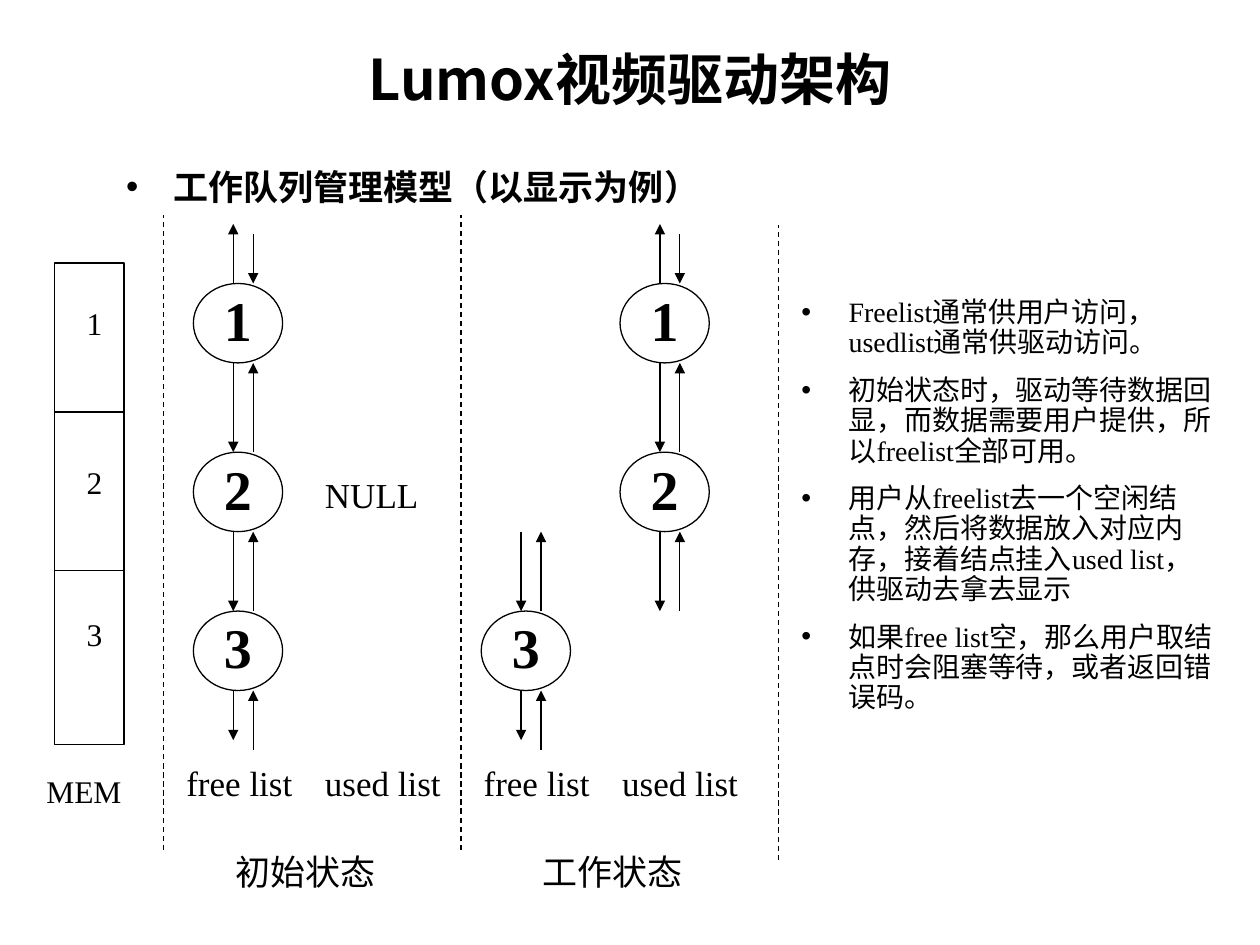
from lxml.etree import SubElement as sub
from pptx import Presentation
from pptx.dml.color import RGBColor
from pptx.enum.dml import MSO_LINE as Dash
from pptx.enum.shapes import MSO_CONNECTOR as Conn, MSO_SHAPE as Shape
from pptx.enum.text import MSO_ANCHOR as Anchor, MSO_AUTO_SIZE as Fit, PP_ALIGN as Align
from pptx.oxml.ns import qn
from pptx.util import Pt

BLACK = RGBColor(0, 0, 0)
SERIF = "Times New Roman"
SANS = "Noto Sans CJK SC"


def write(frame, lines, size, space=0, bold=False, face=SERIF, align=None, pitch=0.9):
    frame.auto_size = Fit.NONE
    frame.text = "\n".join(lines)
    for para in frame.paragraphs:
        para.alignment = align
        para.line_spacing = pitch
        para.space_before = Pt(space)
        para._p.get_or_add_pPr().set("hangingPunct", "0")
        font = para.font
        font.name, font.size, font.bold = face, Pt(size), bold
        font.color.rgb = BLACK
        sub(font._element, qn("a:ea")).set("typeface", SANS)


def rule(x1, y1, x2, y2, dash=None, arrow=False):
    line = shapes.add_connector(Conn.STRAIGHT, Pt(x1), Pt(y1), Pt(x2), Pt(y2))
    line.line.color.rgb = BLACK
    line.line.width = Pt(0.75)
    if dash:
        line.line.dash_style = dash
    if arrow:
        sub(line.line._get_or_add_ln(), qn("a:tailEnd")).set("type", "triangle")
    sub(line._element.spPr, qn("a:effectLst"))


deck = Presentation()
deck.slide_width, deck.slide_height = Pt(720), Pt(540)
slide = deck.slides.add_slide(deck.slide_layouts[3])
shapes = slide.shapes

# Title and the two lists
title, head, notes = slide.placeholders
for box, x, y, w, h in (
    (title, 36, 21.6, 648, 90),
    (head, 64.8, 93.6, 357, 28.8),
    (notes, 450.7, 167, 249.8, 244.8),
):
    box.left, box.top, box.width, box.height = Pt(x), Pt(y), Pt(w), Pt(h)
    box.text_frame.vertical_anchor = Anchor.TOP
    box.text_frame.word_wrap = True
write(title.text_frame, ["Lumox视频驱动架构"], 32, bold=True, face=SANS,
      align=Align.CENTER, pitch=1.0)
write(head.text_frame, ["工作队列管理模型（以显示为例）"], 20, 12.5, bold=True)
write(notes.text_frame, [
    "Freelist通常供用户访问，usedlist通常供驱动访问。",
    "初始状态时，驱动等待数据回显，而数据需要用户提供，所以freelist全部可用。",
    "用户从freelist去一个空闲结点，然后将数据放入对应内存，接着结点挂入used list，供驱动去拿去显示",
    "如果free list空，那么用户取结点时会阻塞等待，或者返回错误码。",
], 16, 10)

# Memory block with three parts
block = shapes.add_shape(Shape.RECTANGLE, Pt(31.3), Pt(150.3), Pt(39.6), Pt(275))
block.fill.background()
block.line.color.rgb = BLACK
block.line.width = Pt(0.75)
block.shadow.inherit = False
for y in (235.4, 326.2):
    rule(31.3, y, 70.9, y)

# Dashed dividers
for x, y in ((93.6, 122.6), (263.5, 122.6), (445, 128.3)):
    rule(x, y + 363, x, y, dash=Dash.DASH)

# Linked lists: left edge, first node, last node
tops = [162, 258.4, 349.2]
wide, high = 51, 45.4
# Each gap: start and end of the down arrow, then of the up arrow
gaps = [(134, 162, 162, 128)]
for above, below in zip(tops, tops[1:]):
    gaps.append((above + high, below, below, above + high))
gaps.append((394.6, 423, 428.4, 394.6))

for left, first, last in ((110.5, 1, 3), (275, 3, 3), (354.3, 1, 2)):
    for num in range(first, last + 1):
        node = shapes.add_shape(Shape.OVAL, Pt(left), Pt(tops[num - 1]), Pt(wide), Pt(high))
        node.fill.background()
        node.line.color.rgb = BLACK
        node.line.width = Pt(0.75)
        node.shadow.inherit = False
        frame = node.text_frame
        frame.word_wrap = False
        frame.vertical_anchor = Anchor.MIDDLE
        write(frame, [str(num)], 32, 8, bold=True, align=Align.CENTER)
    for num in range(first - 1, last + 1):
        start, end, base, tip = gaps[num]
        # The open end on top has its arrows swapped
        down, up = (34.2, 22.8) if num == 0 else (22.8, 34.2)
        rule(left + down, start, left + down, end, arrow=True)
        rule(left + up, base, left + up, tip, arrow=True)

# Labels
for text, x, y, w, size, space in (
    ("1", 42.5, 172.8, 21.6, 18, 11.2),
    ("2", 42.5, 263.5, 21.6, 18, 11.2),
    ("3", 42.5, 350.6, 21.6, 18, 11.2),
    ("MEM", 19.4, 439.9, 59.8, 18, 11.2),
    ("free list", 99.4, 434.2, 102, 20, 12.5),
    ("used list", 178.6, 434.2, 102, 20, 12.5),
    ("free list", 269.3, 434.2, 102, 20, 12.5),
    ("used list", 348.5, 434.2, 102, 20, 12.5),
    ("NULL", 178.6, 270, 102, 20, 12.5),
    ("初始状态", 127.4, 485.3, 108, 20, 12.5),
    ("工作状态", 303.1, 485.3, 108, 20, 12.5),
):
    box = shapes.add_textbox(Pt(x), Pt(y), Pt(w), Pt(size * 1.45))
    box.text_frame.word_wrap = True
    write(box.text_frame, [text], size, space)

deck.save("out.pptx")
